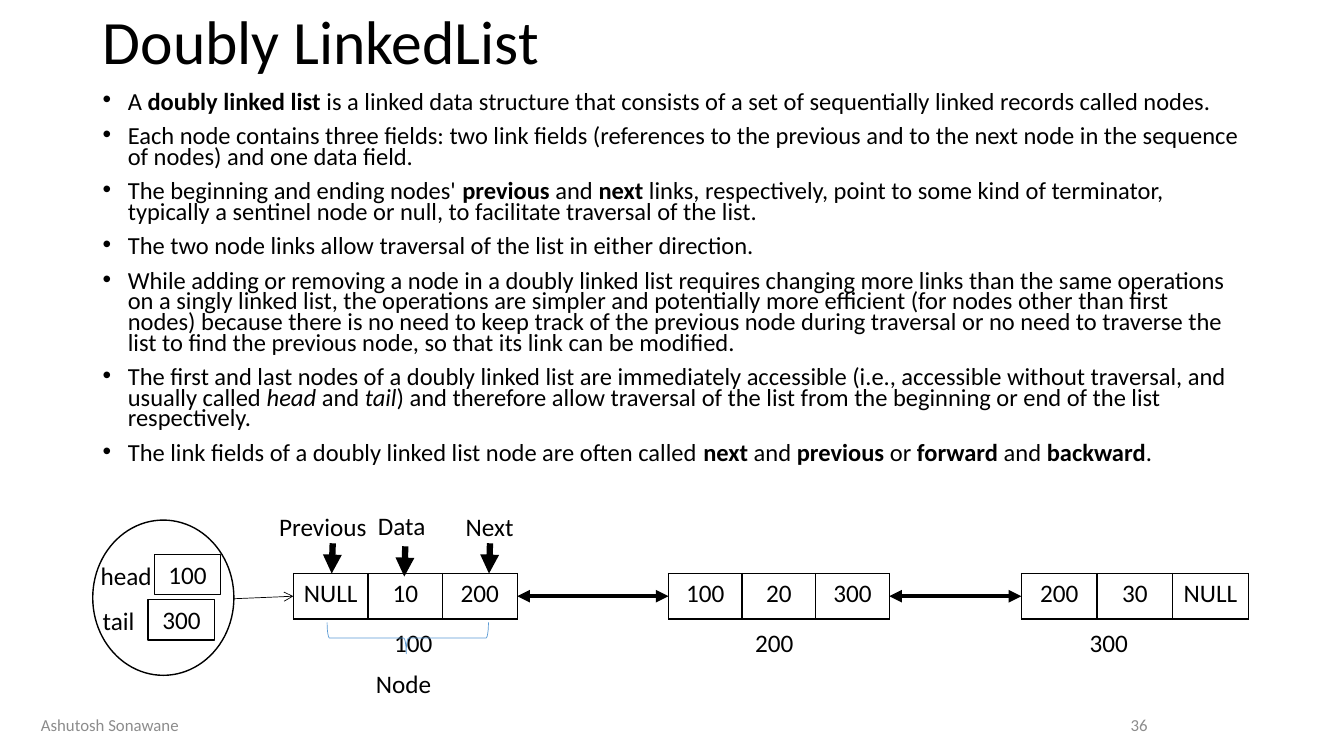
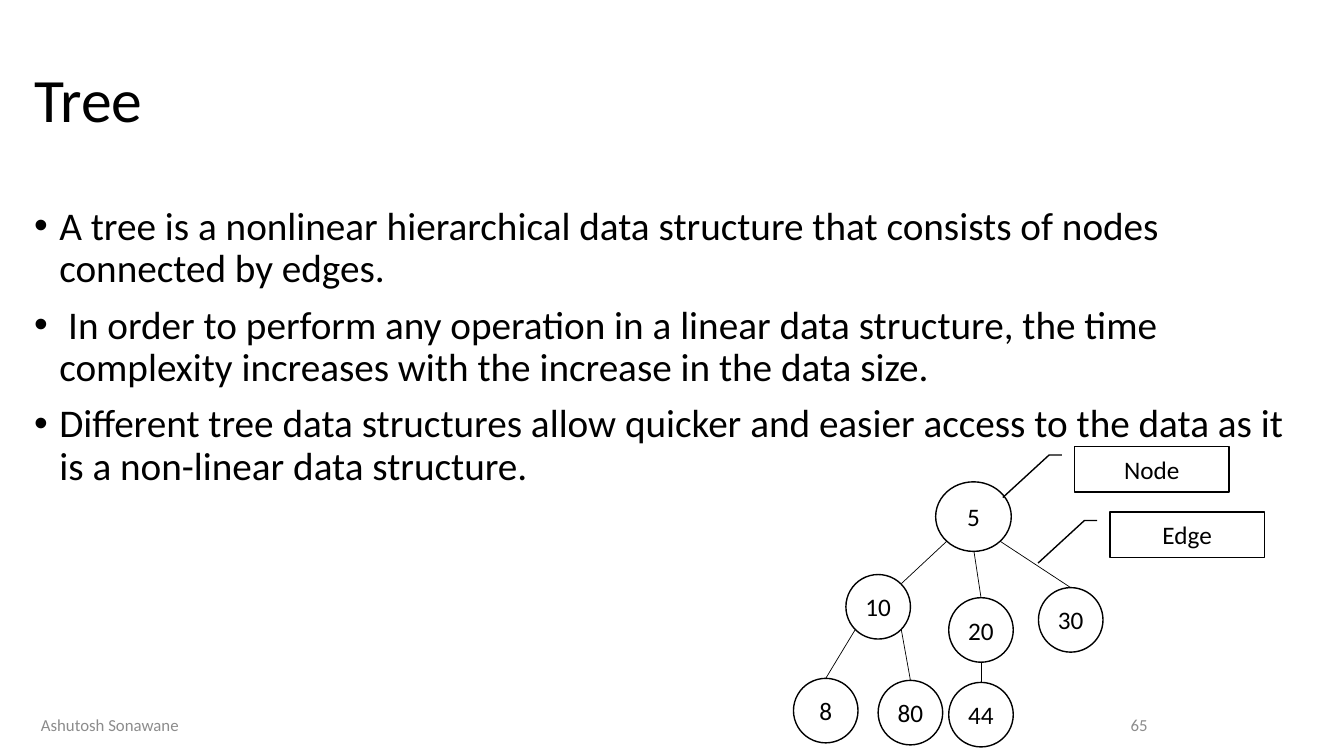
import math

import pptx
import pptx.dml.color
import pptx.enum.shapes
import pptx.enum.text
import pptx.oxml.ns
import pptx.util
from lxml import etree

PX = 9144  # one px is a hundredth of an inch
FONT = "Calibri"
BLACK, WHITE, GREY, BLUE = "000000", "FFFFFF", "8C8C8C", "5B9BD5"

SHAPE = pptx.enum.shapes.MSO_SHAPE
ALIGN = pptx.enum.text.PP_ALIGN
ANCHOR = pptx.enum.text.MSO_ANCHOR

LIST_POINTS = [
    "A *doubly linked list* is a linked data structure that consists of a set of "
    "sequentially linked records called nodes.",
    "Each node contains three fields: two link fields (references to the previous and to "
    "the next node in the sequence of nodes) and one data field.",
    "The beginning and ending nodes' *previous* and *next* links, respectively, point to "
    "some kind of terminator, typically a sentinel node or null, to facilitate traversal "
    "of the list.",
    "The two node links allow traversal of the list in either direction.",
    "While adding or removing a node in a doubly linked list requires changing more links "
    "than the same operations on a singly linked list, the operations are simpler and "
    "potentially more efficient (for nodes other than first nodes) because there is no "
    "need to keep track of the previous node during traversal or no need to traverse the "
    "list to find the previous node, so that its link can be modified.",
    "The first and last nodes of a doubly linked list are immediately accessible (i.e., "
    "accessible without traversal, and usually called _head_ and _tail_) and therefore "
    "allow traversal of the list from the beginning or end of the list respectively.",
    "The link fields of a doubly linked list node are often called *next* and *previous* "
    "or *forward* and *backward*.",
]
TREE_POINTS = [
    "A tree is a nonlinear hierarchical data structure that consists of nodes connected "
    "by edges.",
    " In order to perform any operation in a linear data structure, the time complexity "
    "increases with the increase in the data size.",
    "Different tree data structures allow quicker and easier access to the data as it is "
    "a non-linear data structure.",
]


def px(*lengths):
    return [pptx.util.Emu(round(length * PX)) for length in lengths]


def color(hex_string):
    return pptx.dml.color.RGBColor.from_string(hex_string)


def add_element(parent, tag, **attributes):
    return etree.SubElement(parent, pptx.oxml.ns.qn(tag), attributes)


def add_bullet(paragraph):
    properties = paragraph._p.get_or_add_pPr()
    indent = 25 * PX
    properties.set("marL", str(indent))
    properties.set("indent", str(-indent))
    add_element(properties, "a:buFont", typeface="Arial")
    add_element(properties, "a:buChar", char="•")


def write_text(frame, paragraphs, size=18, ink=BLACK, align=ALIGN.LEFT, anchor=ANCHOR.TOP,
               wrap=True, bullets=False, line_spacing=1.0, space_before=0):
    """Write one paragraph per string; *stars* mark bold and _underscores_ italic."""
    frame.word_wrap = wrap
    frame.vertical_anchor = anchor
    for index, text in enumerate(paragraphs):
        paragraph = frame.add_paragraph() if index else frame.paragraphs[0]
        if bullets:
            add_bullet(paragraph)
        paragraph.alignment = align
        paragraph.line_spacing = line_spacing
        paragraph.space_before = pptx.util.Pt(space_before if index else 0)
        for bold_index, part in enumerate(text.split("*")):
            for italic_index, words in enumerate(part.split("_")):
                if not words:
                    continue
                run = paragraph.add_run()
                run.text = words
                run.font.name = FONT
                run.font.size = pptx.util.Pt(size)
                run.font.color.rgb = color(ink)
                run.font.bold = bold_index % 2 == 1
                run.font.italic = italic_index % 2 == 1


def add_text(slide, paragraphs, box, **text_format):
    shape = slide.shapes.add_textbox(*px(*box))
    write_text(shape.text_frame, paragraphs, **text_format)


def add_shape(shapes, kind, box, text=None, fill=WHITE, line=BLACK, line_width=1,
              **text_format):
    shape = shapes.add_shape(kind, *px(*box))
    shape.shadow.inherit = False
    if fill:
        shape.fill.solid()
        shape.fill.fore_color.rgb = color(fill)
    else:
        shape.fill.background()
    shape.line.color.rgb = color(line)
    shape.line.width = pptx.util.Pt(line_width)
    if text:
        write_text(shape.text_frame, [text], align=ALIGN.CENTER, **text_format)
    return shape


def add_line(shapes, start, end, width=0.5, head=None, tail=None):
    connector = shapes.add_connector(pptx.enum.shapes.MSO_CONNECTOR.STRAIGHT,
                                     *px(*start, *end))
    connector.line.color.rgb = color(BLACK)
    connector.line.width = pptx.util.Pt(width)
    line = connector.line._get_or_add_ln()
    for tag, arrowhead in (("a:headEnd", head), ("a:tailEnd", tail)):
        if arrowhead:
            add_element(line, tag, type=arrowhead)
    add_element(connector._element.spPr, "a:effectLst")
    return connector


def add_list_node(slide, left, top, cell_width, height, values):
    """Draw one list node as a one-row table with plain black borders."""
    frame = slide.shapes.add_table(1, len(values),
                                   *px(left, top, cell_width * len(values), height))
    table = frame.table
    table.first_row = table.horz_banding = False
    for cell, value in zip(table.rows[0].cells, values):
        properties = cell._tc.get_or_add_tcPr()
        for side in "LRTB":
            border = add_element(properties, f"a:ln{side}", w=str(pptx.util.Pt(1)))
            solid = add_element(border, "a:solidFill")
            add_element(solid, "a:srgbClr", val=BLACK)
        cell.fill.background()
        write_text(cell.text_frame, [value], align=ALIGN.CENTER)
    return frame


def add_slide(presentation, title, title_box, points, body_box, number, **body_format):
    """Add a slide with the shared title, bullets and footer."""
    slide = presentation.slides.add_slide(presentation.slide_layouts[6])
    add_text(slide, [title], title_box, size=44, anchor=ANCHOR.MIDDLE, line_spacing=0.9)
    add_text(slide, points, body_box, bullets=True, space_before=10, **body_format)
    footer = {"size": 12, "ink": GREY, "anchor": ANCHOR.MIDDLE}
    add_text(slide, ["Ashutosh Sonawane"], (24, 699, 170, 40), align=ALIGN.CENTER, **footer)
    add_text(slide, [number], (848, 699, 300, 40), align=ALIGN.RIGHT, **footer)
    return slide


def add_linked_list_slide(presentation):
    slide = add_slide(presentation, "Doubly LinkedList", (92, 0, 1150, 88), LIST_POINTS,
                      (92, 88, 1150, 434), "36", size=17.5, line_spacing=0.7)

    # Head and tail references
    add_shape(slide.shapes, SHAPE.OVAL, (92, 516, 140, 154), fill=None)
    for name, value, name_left, value_left, top in (("head", "100", 90, 153, 550),
                                                    ("tail", "300", 92, 147, 595)):
        add_text(slide, [name], (name_left, top + 1, 91, 40))
        add_shape(slide.shapes, SHAPE.RECTANGLE, (value_left, top, 66, 40), value)

    # List nodes with their addresses
    nodes = []
    for left, cell_width, values, address, address_left in (
            (291, 74, ("NULL", "10", "200"), "100", 381),
            (663, 73, ("100", "20", "300"), "200", 739),
            (1013, 75, ("200", "30", "NULL"), "300", 1071)):
        nodes.append(add_list_node(slide, left, 569, cell_width, 45, values))
        add_text(slide, [address], (address_left, 617, 63, 41))

    # Links between the nodes
    entry = add_line(slide.shapes, (232, 594), (291, 592), tail="arrow")
    entry.end_connect(nodes[0], 1)
    for node, following in zip(nodes, nodes[1:]):
        link = add_line(slide.shapes, (0, 0), (0, 0), 3, head="triangle", tail="triangle")
        link.begin_connect(node, 3)
        link.end_connect(following, 1)

    # Field names pointing at the first node
    for name, box, start in (("Previous", (267, 502, 114, 40), (330, 539)),
                             ("Data", (365, 501, 73, 40), (402, 542)),
                             ("Next", (452, 502, 68, 40), (486, 539))):
        add_text(slide, [name], box, wrap=False)
        x, y = start
        add_line(slide.shapes, start, (x - 1, y + 30), 4.5, tail="triangle")

    # Brace that names the whole node
    brace = add_shape(slide.shapes, SHAPE.LEFT_BRACE, (389, 553, 31, 160), fill=None,
                      line=BLUE, line_width=0.5)
    brace.rotation = 270
    brace.adjustments[0] = 0.08
    brace.adjustments[1] = 0.49
    add_text(slide, ["Node"], (363, 658, 84, 40))


def rim_point(box, across, down):
    """Point on an ellipse in the direction (across, down) from its centre."""
    left, top, width, height = box
    reach = math.hypot(across, down)
    return (round(left + width / 2 * (1 + across / reach)),
            round(top + height / 2 * (1 + down / reach)))


def add_tree_slide(presentation):
    slide = add_slide(presentation, "Tree", (24, 19, 1289, 166), TREE_POINTS,
                      (24, 200, 1289, 476), "65", size=28, line_spacing=0.9)
    tree = slide.shapes.add_group_shape().shapes

    # Tree nodes
    boxes = {"5": (928, 478, 75, 69)}
    for value, left, top in (("10", 839, 570), ("20", 941, 593), ("30", 1030, 583),
                             ("8", 787, 673), ("80", 871, 675), ("44", 941, 677)):
        boxes[value] = (left, top, 64, 64)
    for value, box in boxes.items():
        add_shape(tree, SHAPE.OVAL, box, value, anchor=ANCHOR.MIDDLE, wrap=False)

    # Tree edges, each from a rim direction of the parent to one of the child
    top, bottom = (0, -1), (0, 1)
    top_right, bottom_left, bottom_right = (1, -1), (-1, 1), (1, 1)
    for parent, leaving, child, arriving in (("5", bottom_left, "10", top_right),
                                             ("5", bottom_right, "30", top),
                                             ("5", bottom, "20", top),
                                             ("10", bottom_left, "8", top),
                                             ("10", bottom_right, "80", top),
                                             ("20", bottom, "44", top)):
        add_line(tree, rim_point(boxes[parent], *leaving), rim_point(boxes[child], *arriving))

    # Callouts
    for name, left, callout_top in (("Node", 1066, 443), ("Edge", 1101, 508)):
        add_shape(slide.shapes, SHAPE.LINE_CALLOUT_2, (left, callout_top, 153, 45), name,
                  anchor=ANCHOR.MIDDLE)


def main():
    presentation = pptx.Presentation()
    presentation.slide_width, presentation.slide_height = px(1333, 750)
    add_linked_list_slide(presentation)
    add_tree_slide(presentation)
    presentation.save("out.pptx")


if __name__ == "__main__":
    main()
